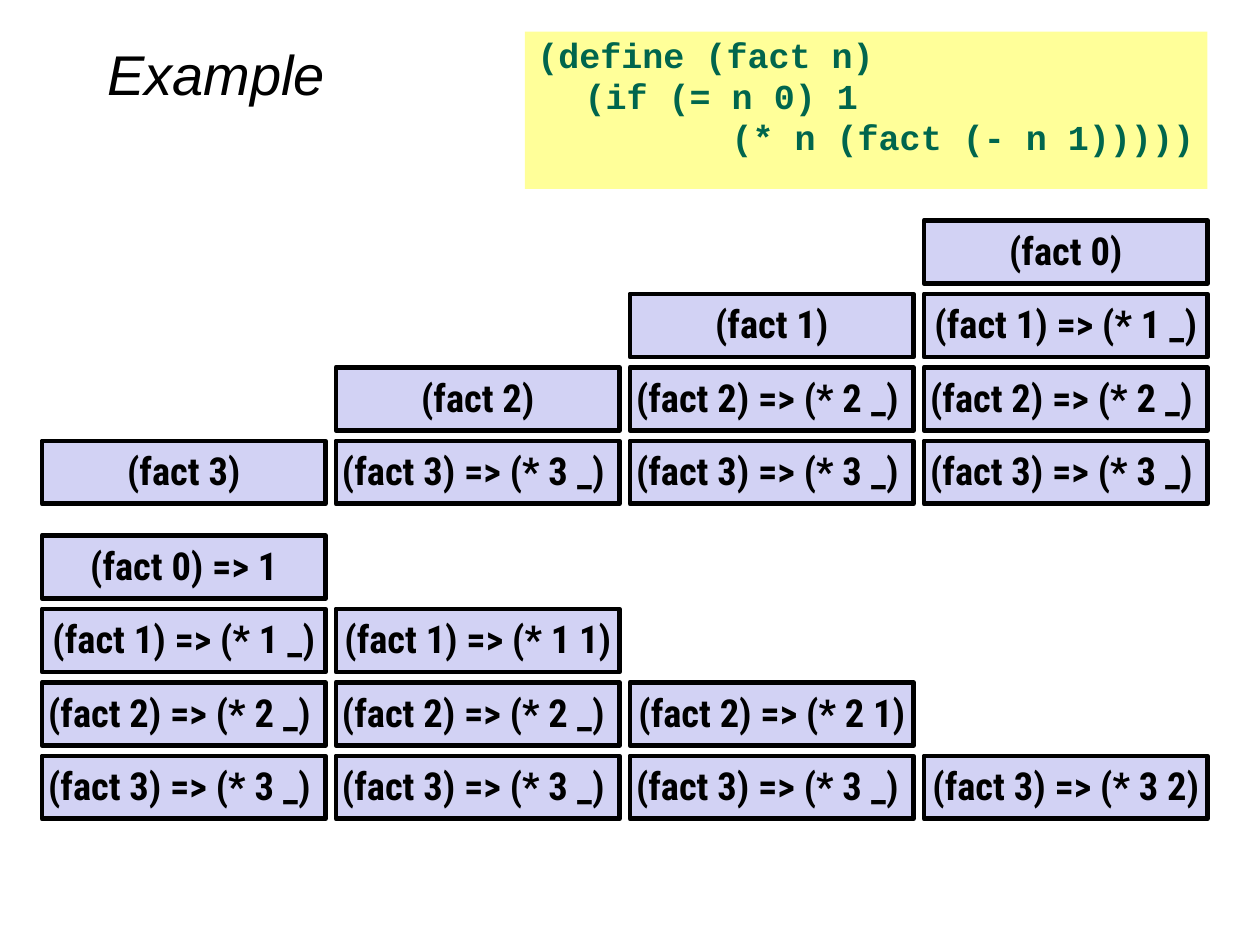
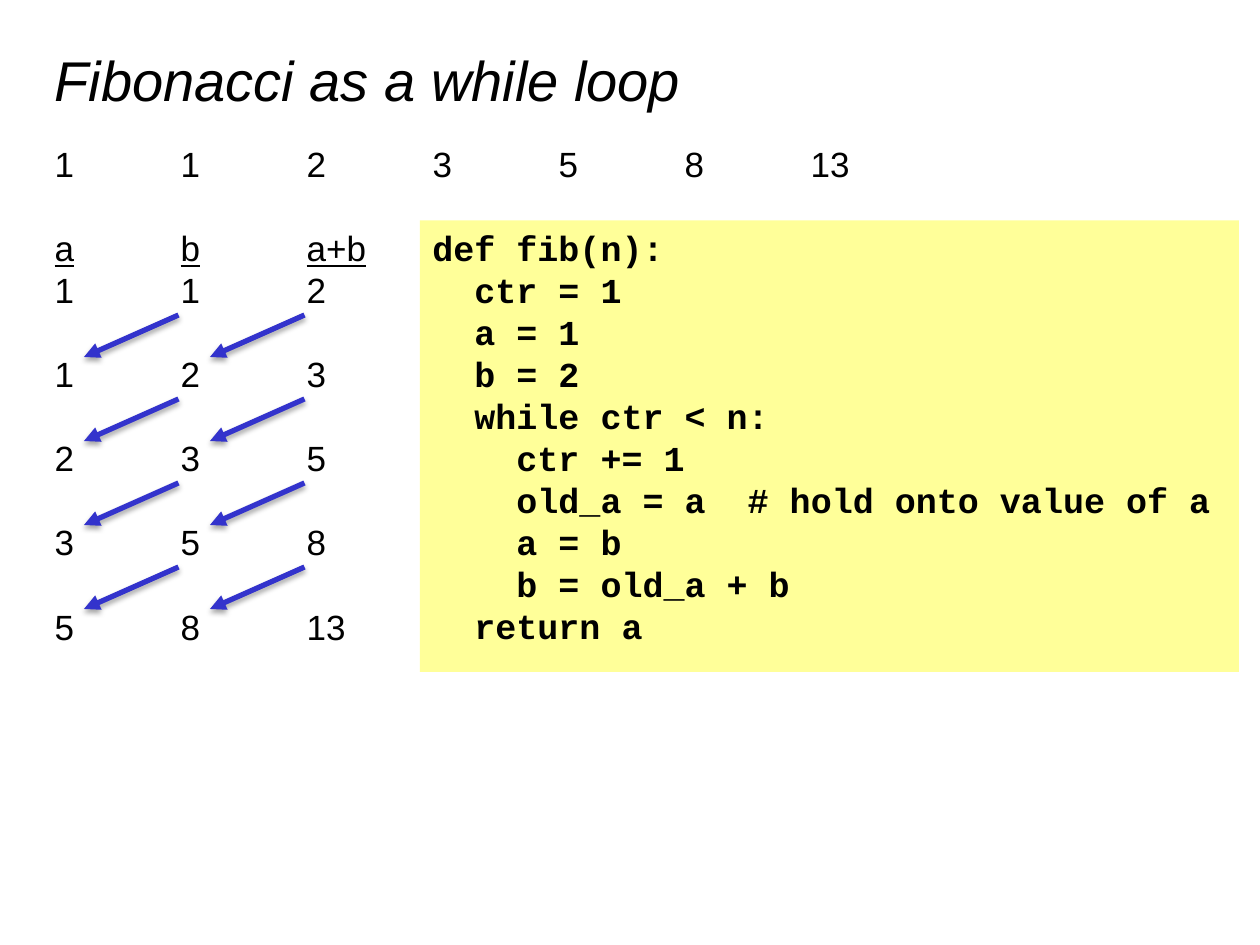
import pptx
import pptx.dml.color
import pptx.enum.shapes
import pptx.enum.text
import pptx.oxml
import pptx.oxml.ns
import pptx.util

Pt = pptx.util.Pt
COLORS = {
    "text": "000000",
    "scheme_code": "00664D",
    "code_fill": "FFFF99",
    "frame_fill": "D2D2F4",
    "frame_line": "000000",
    "arrow": "3333CC",
}
SANS, MONO, CONDENSED = "Arial", "Courier New", "Roboto Condensed"
TITLE_ONLY, TITLE_AND_BODY = 5, 1
TAB_STEP = 72
LINE_PITCH = 24

FRAME_LEFT, FRAME_WIDTH, FRAME_HEIGHT = 24, 162, 36
COLUMN_STEP, ROW_STEP = 168, 42
WAIT_1 = "(fact 1) => (* 1 _)"
WAIT_2 = "(fact 2) => (* 2 _) "
WAIT_3 = "(fact 3) => (* 3 _) "
CALL_STACKS = [
    ["(fact 3)"],
    [WAIT_3, "(fact 2)"],
    [WAIT_3, WAIT_2, "(fact 1)"],
    [WAIT_3, WAIT_2, WAIT_1, "(fact 0)"],
]
RETURN_STACKS = [
    [WAIT_3, WAIT_2, WAIT_1, "(fact 0) => 1"],
    [WAIT_3, WAIT_2, "(fact 1) => (* 1 1)"],
    [WAIT_3, "(fact 2) => (* 2 1)"],
    ["(fact 3) => (* 3 2)"],
]

FACT_CODE = ["(define (fact n)", "(if (= n 0) 1", "(* n (fact (- n 1)))))"]
FACT_INDENTS = [0, 27, 111]
FIB_CODE = [
    "def fib(n):",
    "  ctr = 1",
    "  a = 1",
    "  b = 2",
    "  while ctr < n:",
    "    ctr += 1",
    "    old_a = a  # hold onto value of a",
    "    a = b",
    "    b = old_a + b",
    "  return a",
]
SEQUENCE = [1, 1, 2, 3, 5, 8, 13]
TRACE_HEADER = ["a", "b", "a+b"]


def color(name):
    return pptx.dml.color.RGBColor.from_string(COLORS[name])


def place(shape, left, top, width, height):
    shape.left, shape.top = Pt(left), Pt(top)
    shape.width, shape.height = Pt(width), Pt(height)


def add_run(paragraph, text, size, font, color_name="text", **styles):
    run = paragraph.add_run()
    run.text = text
    run.font.size = Pt(size)
    run.font.name = font
    run.font.color.rgb = color(color_name)
    for style, value in styles.items():
        setattr(run.font, style, value)


def get_paragraph(text_frame, index):
    return text_frame.add_paragraph() if index else text_frame.paragraphs[0]


def set_tab_step(presentation):
    for element in presentation.slide_master.element.xpath(".//*[@defTabSz]"):
        element.set("defTabSz", str(Pt(TAB_STEP)))


def set_title(slide, text, left, top, width, height):
    title = slide.shapes.title
    place(title, left, top, width, height)
    text_frame = title.text_frame
    text_frame.auto_size = pptx.enum.text.MSO_AUTO_SIZE.NONE
    text_frame.vertical_anchor = pptx.enum.text.MSO_ANCHOR.MIDDLE
    paragraph = text_frame.paragraphs[0]
    paragraph.alignment = pptx.enum.text.PP_ALIGN.LEFT
    add_run(paragraph, text, 32, SANS, italic=True)


def add_rectangle(slide, fill, left, top, width, height):
    shape = slide.shapes.add_shape(
        pptx.enum.shapes.MSO_SHAPE.RECTANGLE,
        Pt(left), Pt(top), Pt(width), Pt(height))
    shape.shadow.inherit = False
    shape.fill.solid()
    shape.fill.fore_color.rgb = color(fill)
    shape.text_frame.word_wrap = True
    shape.text_frame.vertical_anchor = pptx.enum.text.MSO_ANCHOR.TOP
    return shape


def add_code(slide, lines, indents, color_name, pitch, margin_top, box):
    shape = add_rectangle(slide, "code_fill", *box)
    shape.line.fill.background()
    text_frame = shape.text_frame
    text_frame.margin_top = Pt(margin_top)
    text_frame.margin_right = 0
    for index, (line, indent) in enumerate(zip(lines, indents)):
        paragraph = get_paragraph(text_frame, index)
        paragraph.alignment = pptx.enum.text.PP_ALIGN.LEFT
        paragraph.line_spacing = Pt(pitch)
        paragraph._p.get_or_add_pPr().set("marL", str(Pt(indent)))
        add_run(paragraph, line, 20, MONO, color_name, bold=True)


def add_frame(slide, label, left, top):
    shape = add_rectangle(slide, "frame_fill", left, top, FRAME_WIDTH, FRAME_HEIGHT)
    shape.line.color.rgb = color("frame_line")
    shape.line.width = Pt(2.75)
    text_frame = shape.text_frame
    text_frame.margin_left = text_frame.margin_right = 0
    paragraph = text_frame.paragraphs[0]
    paragraph.alignment = pptx.enum.text.PP_ALIGN.CENTER
    add_run(paragraph, label, 22, CONDENSED, bold=True)


def add_stacks(slide, stacks, bottom_row_top):
    for column, stack in enumerate(stacks):
        for level, label in enumerate(stack):
            add_frame(slide, label, FRAME_LEFT + column * COLUMN_STEP,
                      bottom_row_top - level * ROW_STEP)


def add_tabbed_row(paragraph, cells, space_before, underline=False):
    properties = paragraph._p.get_or_add_pPr()
    properties.set("marL", "0")
    properties.set("indent", "0")
    properties.set("defTabSz", str(Pt(TAB_STEP)))
    namespace = pptx.oxml.ns.nsdecls("a")
    properties.append(pptx.oxml.parse_xml(f"<a:buNone {namespace}/>"))
    paragraph.line_spacing = Pt(LINE_PITCH)
    paragraph.space_before = Pt(space_before)
    for index, cell in enumerate(cells):
        if index:
            add_run(paragraph, "\t", 20, SANS)
        add_run(paragraph, str(cell), 20, SANS, underline=underline)


def fill_trace(slide):
    body = slide.placeholders[1]
    place(body, 24, 78, 672, 402)
    text_frame = body.text_frame
    text_frame.auto_size = pptx.enum.text.MSO_AUTO_SIZE.NONE
    add_tabbed_row(text_frame.paragraphs[0], SEQUENCE, 0)
    add_tabbed_row(text_frame.add_paragraph(), TRACE_HEADER, LINE_PITCH, True)
    for step in range(len(SEQUENCE) - 2):
        add_tabbed_row(text_frame.add_paragraph(), SEQUENCE[step:step + 3],
                       LINE_PITCH if step else 0)


def add_arrow(slide, start_x, start_y, end_x, end_y):
    arrow = slide.shapes.add_connector(
        pptx.enum.shapes.MSO_CONNECTOR.STRAIGHT,
        Pt(start_x), Pt(start_y), Pt(end_x), Pt(end_y))
    arrow.line.color.rgb = color("arrow")
    arrow.line.width = Pt(3)
    namespace = pptx.oxml.ns.nsdecls("a")
    arrow.line._get_or_add_ln().append(
        pptx.oxml.parse_xml(f'<a:tailEnd {namespace} type="triangle"/>'))
    arrow._element.spPr.append(pptx.oxml.parse_xml(
        f'<a:effectLst {namespace}><a:outerShdw blurRad="{Pt(3.1)}" '
        f'dist="{Pt(1.8)}" dir="5400000" rotWithShape="0">'
        '<a:srgbClr val="000000"><a:alpha val="35000"/></a:srgbClr>'
        '</a:outerShdw></a:effectLst>'))


def build_example(presentation):
    slide = presentation.slides.add_slide(presentation.slide_layouts[TITLE_ONLY])
    set_title(slide, "Example", 54, 18, 230, 48)
    add_code(slide, FACT_CODE, FACT_INDENTS, "scheme_code", 23.4, 1.8,
             (300, 18, 390, 90))
    add_stacks(slide, CALL_STACKS, 252)
    add_stacks(slide, RETURN_STACKS, 432)


def build_fibonacci(presentation):
    slide = presentation.slides.add_slide(presentation.slide_layouts[TITLE_AND_BODY])
    set_title(slide, "Fibonacci as a while loop", 24, 24, 672, 42)
    fill_trace(slide)
    for step in range(4):
        top = 180 + step * 2 * LINE_PITCH
        for column in range(2):
            start_x = 102 + column * TAB_STEP
            add_arrow(slide, start_x, top, start_x - 54, top + LINE_PITCH)
    add_code(slide, FIB_CODE, [0] * len(FIB_CODE), "text", LINE_PITCH, 3.6,
             (240, 126, 468, 258))


def main():
    presentation = pptx.Presentation()
    presentation.slide_width, presentation.slide_height = Pt(720), Pt(540)
    set_tab_step(presentation)
    build_example(presentation)
    build_fibonacci(presentation)
    presentation.save("out.pptx")


if __name__ == "__main__":
    main()
